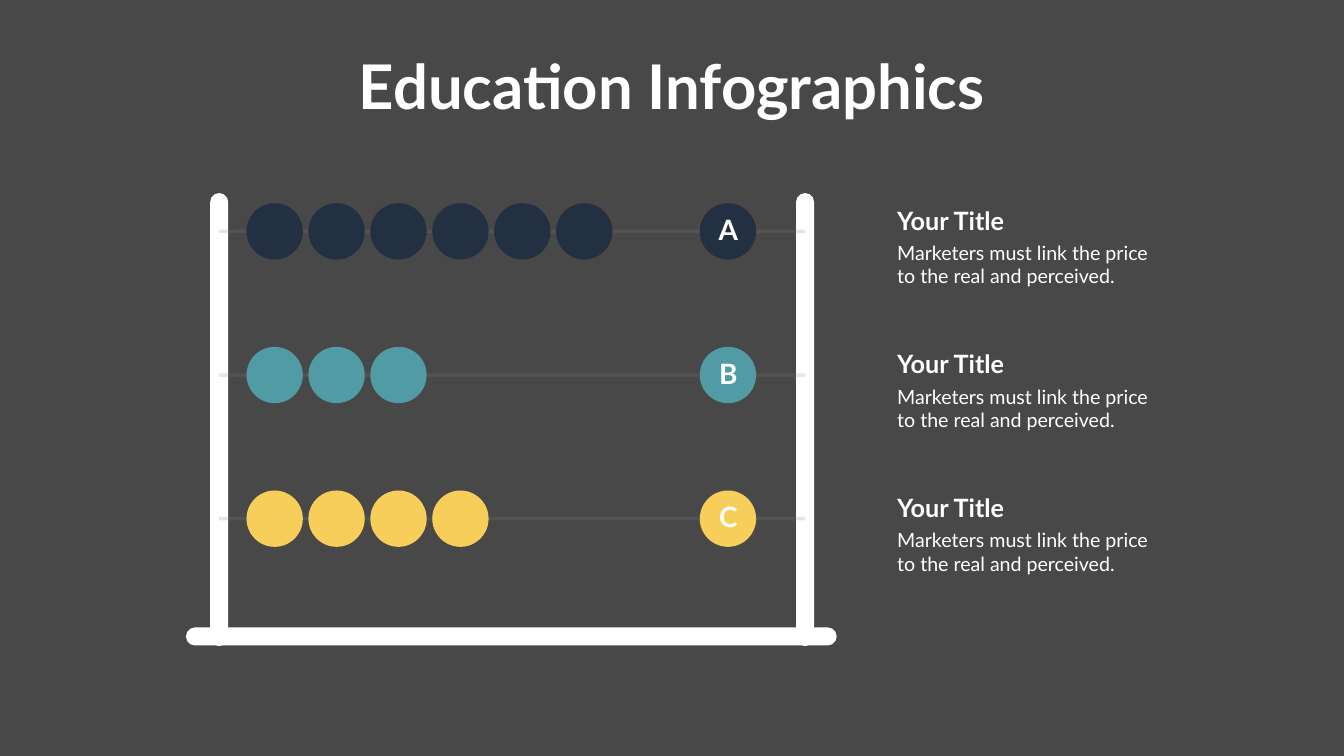
from dataclasses import dataclass

from lxml.etree import SubElement
from pptx import Presentation
from pptx.dml.color import RGBColor
from pptx.enum.shapes import MSO_CONNECTOR, MSO_SHAPE
from pptx.enum.text import MSO_AUTO_SIZE, PP_ALIGN
from pptx.oxml.ns import qn
from pptx.slide import Slide
from pptx.util import Cm, Pt

COLORS = {
    "background": "484848",
    "white": "FFFFFF",
    "rod": "808080",
    "navy": "223042",
    "teal": "509BA4",
    "yellow": "F8CE5A",
}
FONT = "Lato"

BAR = 0.91
POST_LEFTS = (10.59, 40.11)
POST_TOP, POST_HEIGHT = 9.73, 22.83
BASE_LEFT, BASE_TOP, BASE_WIDTH = 9.37, 31.62, 32.79

FIRST_ROD, ROD_PITCH = 11.66, 7.24
BEAD, BEAD_PITCH = 2.84, 3.12
FIRST_BEAD, LETTER_BEAD = 12.42, 35.26
CAPTION_LEFT, CAPTION_WIDTH = 44.96, 13.39


@dataclass(frozen=True)
class Row:
    letter: str
    color: str
    beads: int
    heading: str = "Your Title"
    detail: str = "Marketers must link the price to the real and perceived."


ROWS = [Row("A", "navy", 6), Row("B", "teal", 3), Row("C", "yellow", 4)]


def rgb(color: str) -> RGBColor:
    return RGBColor.from_string(COLORS[color])


def add_solid(slide: Slide, kind: MSO_SHAPE, left: float, top: float,
              width: float, height: float, color: str):
    solid = slide.shapes.add_shape(kind, Cm(left), Cm(top), Cm(width), Cm(height))
    solid.shadow.inherit = False
    solid.fill.solid()
    solid.fill.fore_color.rgb = rgb(color)
    solid.line.fill.background()
    return solid


def add_bar(slide: Slide, left: float, top: float, width: float, height: float) -> None:
    """Add a white frame bar with fully rounded ends."""
    bar = add_solid(slide, MSO_SHAPE.ROUNDED_RECTANGLE, left, top, width, height, "white")
    bar.adjustments[0] = 0.5


def add_rod(slide: Slide, y: float) -> None:
    start, end = (left + BAR / 2 for left in POST_LEFTS)
    rod = slide.shapes.add_connector(
        MSO_CONNECTOR.STRAIGHT, Cm(start), Cm(y), Cm(end), Cm(y))
    rod.line.width = Pt(5)
    rod.line.color.rgb = rgb("rod")
    properties = rod._element.spPr
    SubElement(next(properties.iter(qn("a:srgbClr"))), qn("a:alpha"), val="20000")
    SubElement(properties, qn("a:effectLst"))


def add_bead(slide: Slide, left: float, y: float, color: str) -> None:
    add_solid(slide, MSO_SHAPE.OVAL, left, y - BEAD / 2, BEAD, BEAD, color)


def add_text(slide: Slide, words: str, left: float, top: float, width: float,
             height: float, size: int, bold: bool = True,
             align: PP_ALIGN = PP_ALIGN.LEFT, wrap: bool = True) -> None:
    frame = slide.shapes.add_textbox(Cm(left), Cm(top), Cm(width), Cm(height)).text_frame
    frame.word_wrap = wrap
    frame.auto_size = MSO_AUTO_SIZE.SHAPE_TO_FIT_TEXT
    paragraph = frame.paragraphs[0]
    paragraph.text = words
    paragraph.alignment = align
    paragraph.font.name = FONT
    paragraph.font.size = Pt(size)
    paragraph.font.bold = bold
    paragraph.font.color.rgb = rgb("white")


def add_row(slide: Slide, row: Row, y: float) -> None:
    """Add one rod with its beads, its letter and its caption."""
    add_rod(slide, y)
    for index in range(row.beads):
        add_bead(slide, FIRST_BEAD + index * BEAD_PITCH, y, row.color)
    add_bead(slide, LETTER_BEAD, y, row.color)
    add_text(slide, row.letter, 35, y - 1.07, 3.4, 1.96, 40, align=PP_ALIGN.CENTER)
    add_text(slide, row.heading, CAPTION_LEFT, y - 1.45, CAPTION_WIDTH, 1.8, 36)
    add_text(slide, row.detail, CAPTION_LEFT, y + 0.35, CAPTION_WIDTH, 2.64, 28, bold=False)


def main() -> None:
    presentation = Presentation()
    presentation.slide_width = Cm(67.72)
    presentation.slide_height = Cm(38.1)
    slide = presentation.slides.add_slide(presentation.slide_layouts[6])
    slide.background.fill.solid()
    slide.background.fill.fore_color.rgb = rgb("background")

    add_text(slide, "Education Infographics", 17.48, 2.31, 32.74, 4.01, 88,
             align=PP_ALIGN.CENTER, wrap=False)
    for left in POST_LEFTS:
        add_bar(slide, left, POST_TOP, BAR, POST_HEIGHT)
    add_bar(slide, BASE_LEFT, BASE_TOP, BASE_WIDTH, BAR)
    for index, row in enumerate(ROWS):
        add_row(slide, row, FIRST_ROD + index * ROD_PITCH)

    presentation.save("out.pptx")


if __name__ == "__main__":
    main()
